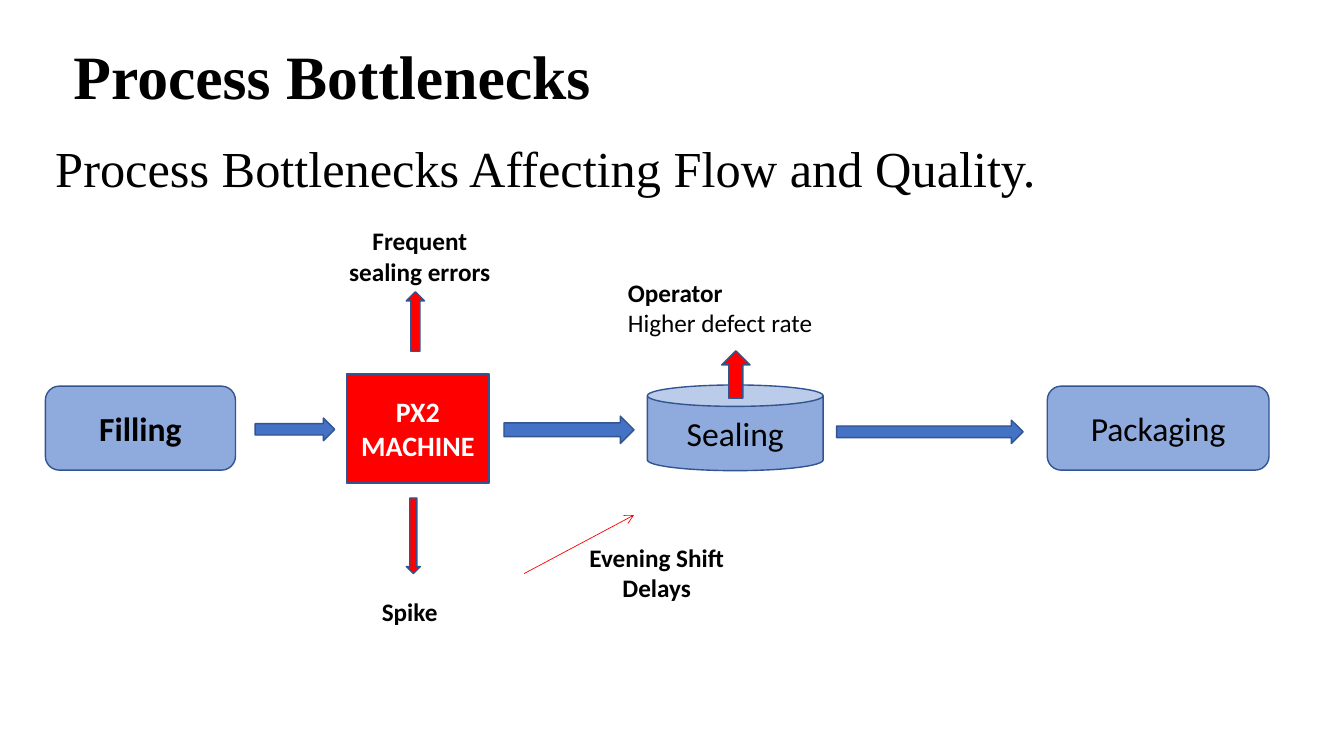
from lxml.etree import SubElement
from pptx import Presentation
from pptx.dml.color import RGBColor
from pptx.enum.shapes import MSO_CONNECTOR, MSO_SHAPE as SHAPE
from pptx.enum.text import MSO_ANCHOR, PP_ALIGN as ALIGN
from pptx.oxml.ns import qn
from pptx.util import Pt

BLACK, WHITE, RED = "000000", "FFFFFF", "FF0000"
STEP_BLUE, FLOW_BLUE, OUTLINE = "8FAADC", "4472C4", "325491"
SERIF, SANS = "Times New Roman", "Calibri"


def color(hex_value):
    """Turn a hex string into a colour."""
    return RGBColor.from_string(hex_value)


def write(paragraph, text, size, bold=False, font=SANS, ink=BLACK):
    """Add one formatted run to a paragraph."""
    run = paragraph.add_run()
    run.text = text
    run.font.name = font
    run.font.size = Pt(size)
    run.font.bold = bold
    run.font.color.rgb = color(ink)


def add_text(slide, box, lines, size, font=SANS, align=ALIGN.LEFT, wrap=False, spacing=1.0):
    """Add a text box with one paragraph per (text, bold) line."""
    frame = slide.shapes.add_textbox(*map(Pt, box)).text_frame
    frame.word_wrap = wrap
    for index, (text, bold) in enumerate(lines):
        paragraph = frame.add_paragraph() if index else frame.paragraphs[0]
        paragraph.alignment = align
        paragraph.line_spacing = spacing
        write(paragraph, text, size, bold, font)


def add_block(slide, kind, box, fill):
    """Add a filled, outlined preset shape."""
    block = slide.shapes.add_shape(kind, *map(Pt, box))
    block.shadow.inherit = False
    block.fill.solid()
    block.fill.fore_color.rgb = color(fill)
    block.line.color.rgb = color(OUTLINE)
    block.line.width = Pt(1)
    return block


def add_step(slide, kind, box, label, size=24, bold=False, fill=STEP_BLUE, ink=BLACK):
    """Add a process step with a centred label."""
    frame = add_block(slide, kind, box, fill).text_frame
    frame.word_wrap = True
    frame.vertical_anchor = MSO_ANCHOR.MIDDLE
    frame.paragraphs[0].alignment = ALIGN.CENTER
    write(frame.paragraphs[0], label, size, bold, ink=ink)


def add_pointer(slide, start, end):
    """Add a thin red line with an open arrowhead."""
    pointer = slide.shapes.add_connector(MSO_CONNECTOR.STRAIGHT, *map(Pt, start + end))
    pointer.line.color.rgb = color(RED)
    pointer.line.width = Pt(0.5)
    SubElement(pointer.line._get_or_add_ln(), qn("a:tailEnd"), type="arrow")
    SubElement(pointer._element.spPr, qn("a:effectLst"))


def main():
    """Build the process bottlenecks slide."""
    deck = Presentation()
    deck.slide_width, deck.slide_height = Pt(960), Pt(540)
    slide = deck.slides.add_slide(deck.slide_layouts[6])

    add_text(slide, (45.4, 23.8, 387.4, 60.5), [("Process Bottlenecks", True)], 44, SERIF)
    add_text(slide, (32.4, 99.4, 715.7, 50.4),
             [("Process Bottlenecks Affecting Flow and Quality.", False)],
             36, SERIF, wrap=True, spacing=0.9)

    add_step(slide, SHAPE.ROUNDED_RECTANGLE, (32.4, 275.8, 135.8, 60), "Filling", bold=True)
    add_step(slide, SHAPE.RECTANGLE, (247.7, 267.1, 101.5, 77.8), "PX2 MACHINE",
             size=20, bold=True, fill=RED, ink=WHITE)
    add_step(slide, SHAPE.CAN, (462.4, 275, 125.6, 61.2), "Sealing")
    add_step(slide, SHAPE.ROUNDED_RECTANGLE, (748.1, 275.8, 158.4, 60), "Packaging")

    for flow in ((182.2, 298.6, 56.9, 16.2), (360, 297.2, 92.9, 19.6),
                 (597.6, 300.1, 133.2, 16.7)):
        add_block(slide, SHAPE.RIGHT_ARROW, flow, FLOW_BLUE)
    for kind, issue in ((SHAPE.UP_ARROW, (290.2, 208.4, 13, 42.5)),
                        (SHAPE.DOWN_ARROW, (290.2, 355.7, 10.1, 54)),
                        (SHAPE.UP_ARROW, (515.5, 250.6, 20.2, 33.8))):
        add_block(slide, kind, issue, RED)
    add_pointer(slide, (374.4, 409.7), (452.9, 367.9))

    add_text(slide, (213.1, 157.7, 173.5, 51.1),
             [("Frequent", True), ("sealing errors", True)], 18, align=ALIGN.CENTER, wrap=True)
    add_text(slide, (265.7, 422.6, 54.7, 28.8), [("Spike", True)], 18)
    add_text(slide, (411.1, 383.8, 115.9, 51.1),
             [("Evening Shift", True), ("Delays", True)], 18, align=ALIGN.CENTER)
    add_text(slide, (441.4, 194.4, 147.6, 51.1),
             [("Operator", True), ("Higher defect rate", False)], 18)

    deck.save("out.pptx")


if __name__ == "__main__":
    main()
